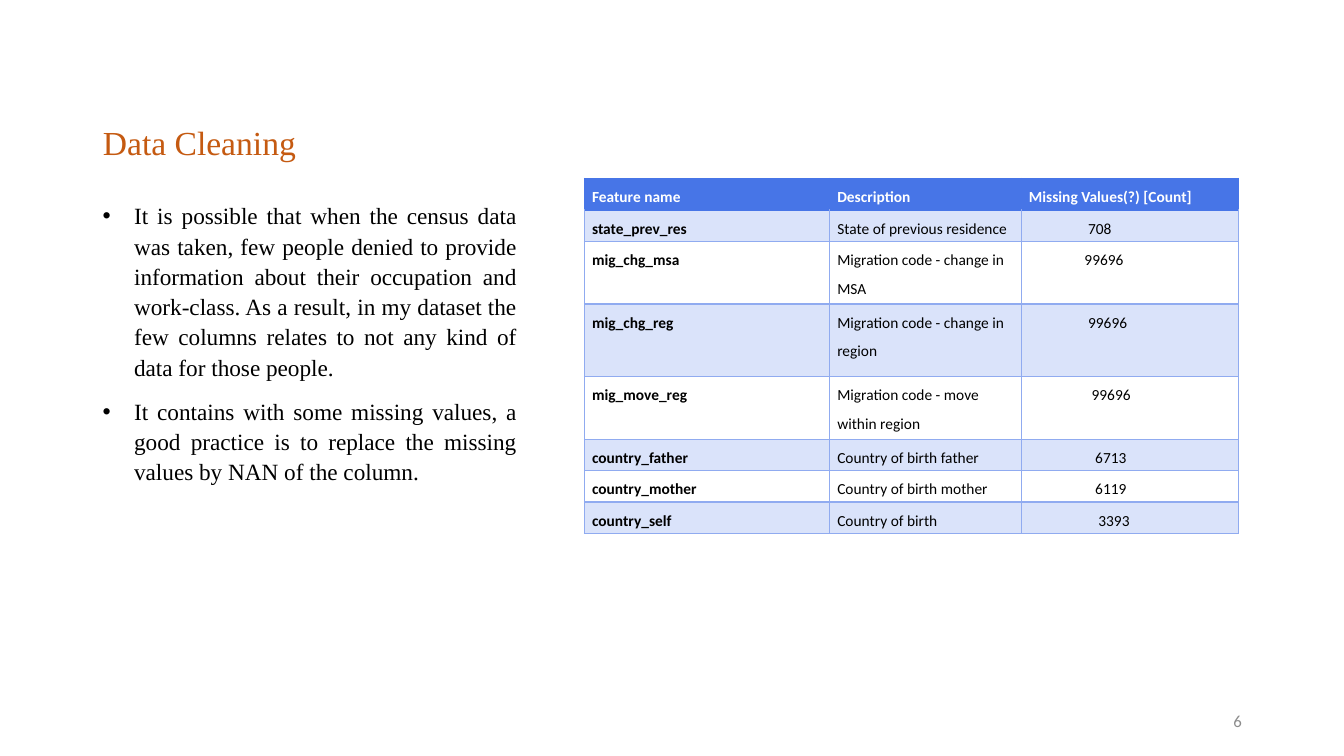
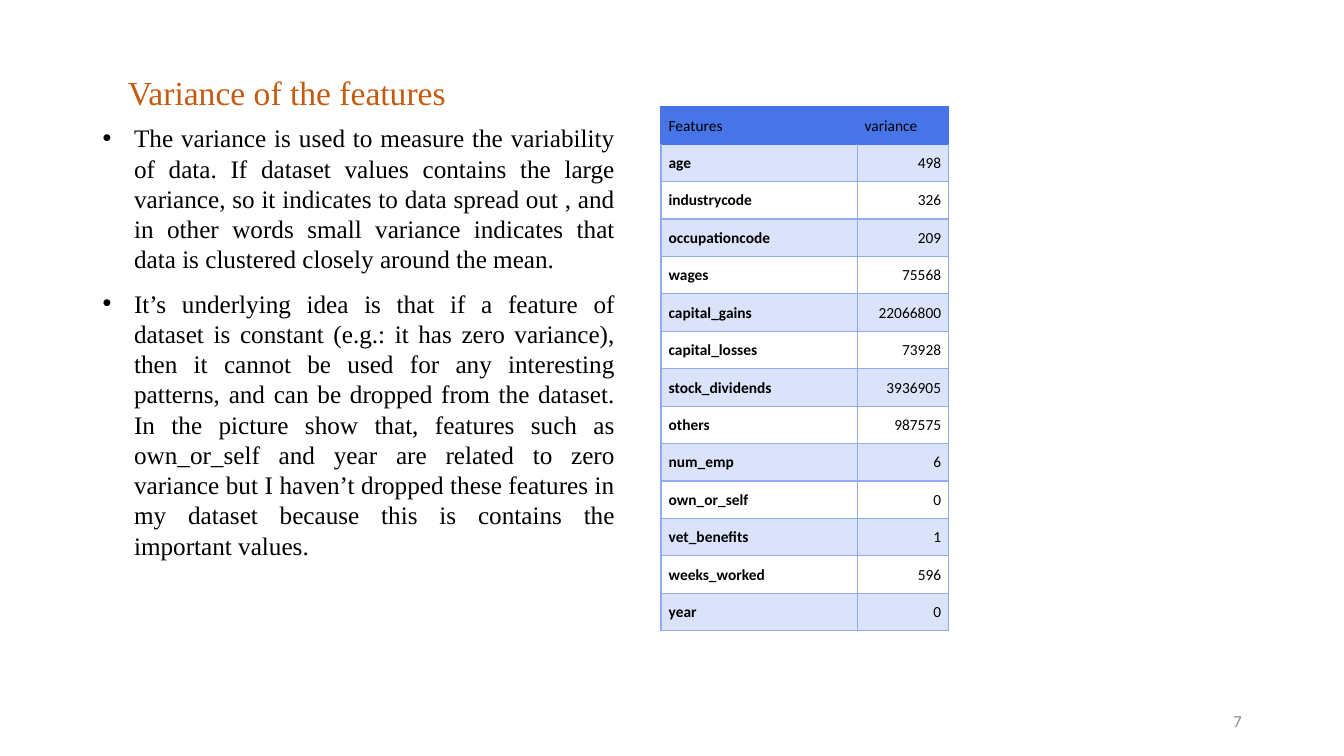
"""Build two slides on data cleaning and feature variance."""
from lxml.etree import SubElement
from pptx import Presentation
from pptx.dml.color import RGBColor
from pptx.enum.text import MSO_ANCHOR, MSO_AUTO_SIZE, PP_ALIGN
from pptx.oxml import parse_xml
from pptx.oxml.ns import nsdecls, qn
from pptx.util import Cm, Pt

ORANGE, BLUE, LINE = "C55A11", "4775E7", "90ABF0"
PALE, WHITE, BLACK, GREY = "DAE3FA", "FFFFFF", "000000", "8C8C8C"
SERIF, SANS = "Times New Roman", "Calibri"
LEFT = Cm(2.34)


def write(frame, text, size=11, font=SANS, color=BLACK, bold=False, align=PP_ALIGN.LEFT,
          spacing=None, before=0, indent=0, bullet=False):
    """Write one formatted paragraph into a text frame."""
    para = frame.paragraphs[0] if not frame.text else frame.add_paragraph()
    para.alignment = align
    para.line_spacing = spacing
    para.space_before = Pt(before)
    properties = para._p.get_or_add_pPr()
    properties.set("marL", str(Cm(indent)))
    properties.set("indent", str(-Cm(indent) if bullet else 0))
    if bullet:
        SubElement(properties, qn("a:buFont"), typeface="Arial")
        SubElement(properties, qn("a:buChar"), char="•")
    span = para.add_run()
    span.text = text
    span.font.size = Pt(size)
    span.font.name = font
    span.font.bold = bold
    span.font.color.rgb = RGBColor.from_string(color)


def add_border(cell, side, color):
    """Draw one border of a table cell."""
    cell._tc.get_or_add_tcPr().append(parse_xml(
        f'<a:ln{side} {nsdecls("a")} w="12700"><a:solidFill>'
        f'<a:srgbClr val="{color}"/></a:solidFill></a:ln{side}>'))


slides = [
    {
        "number": "6",
        "title": "Data Cleaning",
        "title_top": 3.07, "title_height": 1.17, "title_indent": 0,
        "body_top": 4.9, "body_width": 10.92, "body_height": 8.92, "body_size": 16.6,
        "body": [
            "It is possible that when the census data was taken, few people denied to provide "
            "information about their occupation and work-class. As a result, in my dataset the "
            "few columns relates to not any kind of data for those people.",
            "It contains with some missing values, a good practice is to replace the missing "
            "values by NAN of the column.",
        ],
        "table_left": 14.73, "table_top": 4.5,
        "columns": [6.18, 4.83, 5.48],
        "heights": [0.79, 0.79, 1.58, 1.83, 1.58, 0.79, 0.79, 0.79],
        "header_color": WHITE, "header_bold": True,
        "value_align": PP_ALIGN.LEFT,
        "value_indents": [1.49, 1.4, 1.49, 1.58, 1.67, 1.67, 1.75],
        "rows": [
            ["Feature name", "Description", "Missing Values(?) [Count]"],
            ["state_prev_res", "State of previous residence", "708"],
            ["mig_chg_msa", "Migration code - change in MSA", "99696"],
            ["mig_chg_reg", "Migration code - change in region", "99696"],
            ["mig_move_reg", "Migration code - move within region", "99696"],
            ["country_father", "Country of birth father", "6713"],
            ["country_mother", "Country of birth mother", "6119"],
            ["country_self", "Country of birth", "3393"],
        ],
    },
    {
        "number": "7",
        "title": "Variance of the features",
        "title_top": 1.27, "title_height": 1.7, "title_indent": 0.63,
        "body_top": 2.97, "body_width": 13.41, "body_height": 13.34, "body_size": 18,
        "body": [
            "The variance is used to measure the variability of data. If dataset values contains "
            "the large variance, so it indicates to data spread out , and in other words small "
            "variance indicates that data is clustered closely around the mean.",
            "It’s underlying idea is that if a feature of dataset is constant (e.g.: it has zero "
            "variance), then it cannot be used for any interesting patterns, and can be dropped "
            "from the dataset. In the picture show that, features such as own_or_self and year "
            "are related to zero variance but I haven’t dropped these features in my dataset "
            "because this is contains the important values.",
        ],
        "table_left": 16.66, "table_top": 2.69,
        "columns": [4.94, 2.31],
        "heights": [13.21 / 14] * 14,
        "header_color": BLACK, "header_bold": False,
        "value_align": PP_ALIGN.RIGHT,
        "value_indents": [0] * 13,
        "rows": [
            ["Features", "variance"],
            ["age", "498"],
            ["industrycode", "326"],
            ["occupationcode", "209"],
            ["wages", "75568"],
            ["capital_gains", "22066800"],
            ["capital_losses", "73928"],
            ["stock_dividends", "3936905"],
            ["others", "987575"],
            ["num_emp", "6"],
            ["own_or_self", "0"],
            ["vet_benefits", "1"],
            ["weeks_worked", "596"],
            ["year", "0"],
        ],
    },
]

deck = Presentation()
deck.slide_width, deck.slide_height = Cm(33.87), Cm(19.05)

for content in slides:
    page = deck.slides.add_slide(deck.slide_layouts[5])

    title = page.shapes.title
    title.left, title.top = LEFT, Cm(content["title_top"])
    title.width, title.height = Cm(10.92), Cm(content["title_height"])
    title.text_frame.auto_size = MSO_AUTO_SIZE.NONE
    title.text_frame.vertical_anchor = MSO_ANCHOR.BOTTOM
    write(title.text_frame, content["title"], size=24, font=SERIF, color=ORANGE,
          align=PP_ALIGN.JUSTIFY, spacing=0.9, indent=content["title_indent"])

    rows, columns = content["rows"], content["columns"]
    heights = content["heights"]
    table = page.shapes.add_table(
        len(rows), len(columns), Cm(content["table_left"]), Cm(content["table_top"]),
        Cm(sum(columns)), Cm(sum(heights))).table
    for column, width in zip(table.columns, columns):
        column.width = Cm(width)
    for row_index, (row, height, texts) in enumerate(zip(table.rows, heights, rows)):
        row.height = Cm(height)
        header = row_index == 0
        fill = BLUE if header else PALE if row_index % 2 else WHITE
        for column_index, (cell, text) in enumerate(zip(row.cells, texts)):
            cell.margin_left = cell.margin_right = Cm(0.19)
            cell.margin_top = cell.margin_bottom = 0
            for side in "LRTB":
                blue_edge = header or (row_index == 1 and side == "T")
                add_border(cell, side, BLUE if blue_edge else LINE)
            cell.fill.solid()
            cell.fill.fore_color.rgb = RGBColor.from_string(fill)
            value = not header and column_index == len(columns) - 1
            write(cell.text_frame, text, spacing=1.5,
                  color=content["header_color"] if header else BLACK,
                  bold=content["header_bold"] if header else column_index == 0,
                  align=content["value_align"] if value else PP_ALIGN.LEFT,
                  indent=content["value_indents"][row_index - 1] if value else 0)

    body = page.shapes.add_textbox(LEFT, Cm(content["body_top"]), Cm(content["body_width"]),
                                   Cm(content["body_height"])).text_frame
    body.word_wrap = True
    for text in content["body"]:
        write(body, text, size=content["body_size"], font=SERIF, align=PP_ALIGN.JUSTIFY,
              spacing=Pt(21.6), before=10, indent=0.79, bullet=True)

    footer = page.shapes.add_textbox(Cm(23.93), Cm(17.65), Cm(7.62), Cm(1.02)).text_frame
    footer.word_wrap = True
    footer.vertical_anchor = MSO_ANCHOR.MIDDLE
    write(footer, content["number"], size=12, color=GREY, align=PP_ALIGN.RIGHT)

deck.save("out.pptx")
